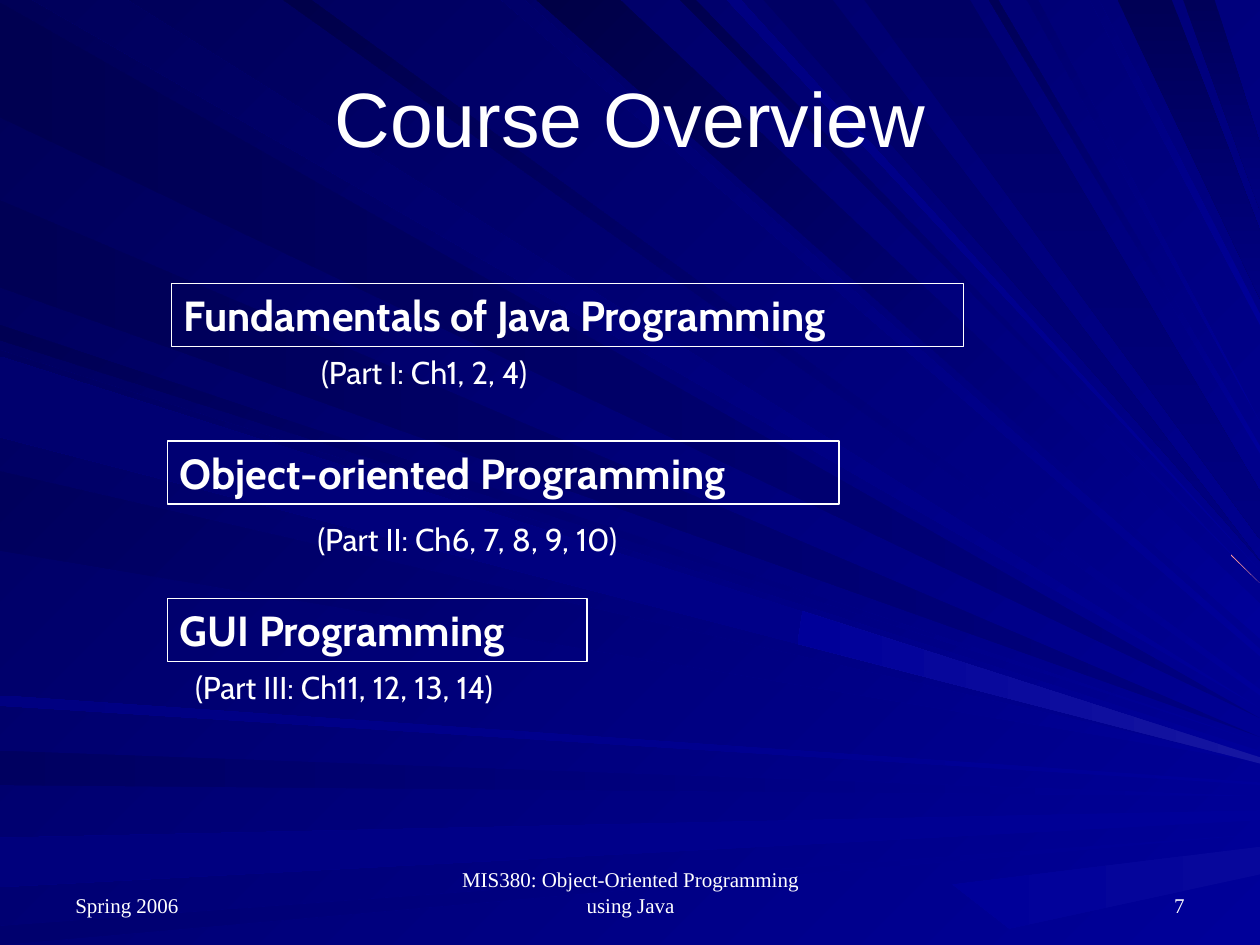
import pptx
import pptx.util
import pptx.dml.color
import pptx.enum.shapes
import pptx.enum.text

PX = 9144
WIDTH, HEIGHT = 1000, 750
WHITE, BLUE, NAVY = "FFFFFF", "000099", "000080"
DIAGONAL, ACROSS, DOWN = 225, 180, 90
ALIGN = pptx.enum.text.PP_ALIGN
ANCHOR = pptx.enum.text.MSO_ANCHOR

RAYS = [
    ("left", 2, 93, 570, 0, NAVY, "000051", ACROSS),
    ("top", 26, 101, 562, 0, BLUE, "00005C", DIAGONAL),
    ("left", 596, 623, 632, 0, BLUE, "000060", ACROSS),
    ("left", 665, 704, 643, 8, BLUE, "00007C", ACROSS),
    ("left", 735, 750, 662, 0, BLUE, "00006E", ACROSS),
    ("left", 258, 270, 589, 0, BLUE, "000053", DIAGONAL),
    ("left", 159, 228, 585, 0, NAVY, "000055", ACROSS),
    ("top", 398, 416, 515, 6, BLUE, "00006A", DIAGONAL),
    ("top", 426, 492, 479, 28, BLUE, "000046", DIAGONAL),
    ("top", 540, 552, 463, 0, BLUE, "00004E", DIAGONAL),
    ("top", 606, 661, 445, 0, "000064", NAVY, DOWN),
    ("top", 887, 930, 183, 54, "000055", NAVY, DOWN),
    ("top", 939, 964, 114, 53, "000059", NAVY, DOWN),
    ("left", 278, 342, 596, 6, BLUE, "000060", DIAGONAL),
    ("left", 374, 437, 605, 0, BLUE, "00005C", DIAGONAL),
    ("left", 552, 560, 621, 2, BLUE, "000081", ACROSS),
    ("top", 225, 247, 547, 5, BLUE, "00004A", DIAGONAL),
    ("top", 577, 588, 453, 0, BLUE, "000081", DIAGONAL),
    ("top", 686, 770, 390, 38, "000064", NAVY, DOWN),
    ("top", 785, 792, 354, 6, BLUE, "000057", DIAGONAL),
    ("top", 815, 824, 335, 0, BLUE, "00006E", DIAGONAL),
    ("top", 865, 872, 249, 9, BLUE, "000078", DIAGONAL),
    ("left", 283, 347, 601, 5, BLUE, "00006E", ACROSS),
]

GLOWS = [
    ([(756, 702), (1000, 672), (1000, 694), (801, 737)], "07079B", BLUE, ACROSS),
    ([(977, 440), (1000, 463), (977, 441)], "FF9999", "FF9999", ACROSS),
    ([(637, 485), (1000, 601), (1000, 606), (633, 511)], "1616A1", BLUE, ACROSS),
]

TITLE = ("Course Overview", (50, 30, 900, 125))

TOPICS = [
    ("Fundamentals of Java Programming", (136, 225, 629, 50),
     "(Part I: Ch1, 2, 4)", (245, 275, 212, 40)),
    ("Object-oriented Programming", (133, 350, 533, 50),
     "(Part II: Ch6, 7, 8, 9, 10)", (242, 408, 333, 40)),
    ("GUI Programming", (133, 475, 333, 50),
     "(Part III: Ch11, 12, 13, 14)", (145, 525, 314, 40)),
]

FOOTERS = [
    ("Spring 2006", (50, 683, 233, 50), ALIGN.LEFT),
    ("MIS380: Object-Oriented Programming using Java", (342, 683, 317, 50), ALIGN.CENTER),
    ("7", (717, 683, 233, 50), ALIGN.RIGHT),
]


def rgb(value):
    return pptx.dml.color.RGBColor.from_string(value)


def paint(fill, start, end, clockwise):
    fill.gradient()
    fill.gradient_angle = 360 - clockwise
    for stop, colour in zip(fill.gradient_stops, (start, end)):
        stop.color.rgb = rgb(colour)


def ray_outline(edge, near, far, tip, spread):
    if edge == "left":
        return [(0, near), (WIDTH, tip), (WIDTH, tip + spread), (0, far)]
    return [(far, 0), (WIDTH, tip), (WIDTH, tip + spread), (near, 0)]


def add_beam(s, points, *gradient):
    builder = s.shapes.build_freeform(*points[0], scale=PX)
    builder.add_line_segments(points[1:], close=True)
    sp = builder.convert_to_shape()
    paint(sp.fill, *gradient)
    sp.line.fill.background()
    sp.shadow.inherit = False


def write(sp, text, font, size, align=ALIGN.LEFT, anchor=ANCHOR.TOP, bold=False):
    tf = sp.text_frame
    tf.word_wrap = True
    tf.vertical_anchor = anchor
    p = tf.paragraphs[0]
    p.text = text
    p.alignment = align
    p.font.name = font
    p.font.size = pptx.util.Pt(size)
    p.font.bold = bold
    p.font.color.rgb = rgb(WHITE)


def add_text(s, text, box, *style):
    write(s.shapes.add_textbox(*(v * PX for v in box)), text, *style)


def add_frame(s, text, box):
    sp = s.shapes.add_shape(pptx.enum.shapes.MSO_SHAPE.RECTANGLE, *(v * PX for v in box))
    sp.fill.background()
    sp.line.color.rgb = rgb(WHITE)
    sp.line.width = pptx.util.Pt(0.75)
    sp.shadow.inherit = False
    write(sp, text, "Cabin", 24, bold=True)


def main():
    prs = pptx.Presentation()
    prs.slide_width, prs.slide_height = WIDTH * PX, HEIGHT * PX
    s = prs.slides.add_slide(prs.slide_layouts[6])
    paint(s.background.fill, BLUE, "000057", DIAGONAL)
    for edge, near, far, tip, spread, *gradient in RAYS:
        add_beam(s, ray_outline(edge, near, far, tip, spread), *gradient)
    for points, *gradient in GLOWS:
        add_beam(s, points, *gradient)
    add_text(s, *TITLE, "Arial", 44, ALIGN.CENTER, ANCHOR.MIDDLE)
    for topic, frame, chapters, box in TOPICS:
        add_frame(s, topic, frame)
        add_text(s, chapters, box, "Cabin", 18)
    for text, box, align in FOOTERS:
        add_text(s, text, box, "Times New Roman", 12, align, ANCHOR.BOTTOM)
    prs.save("out.pptx")


if __name__ == "__main__":
    main()
